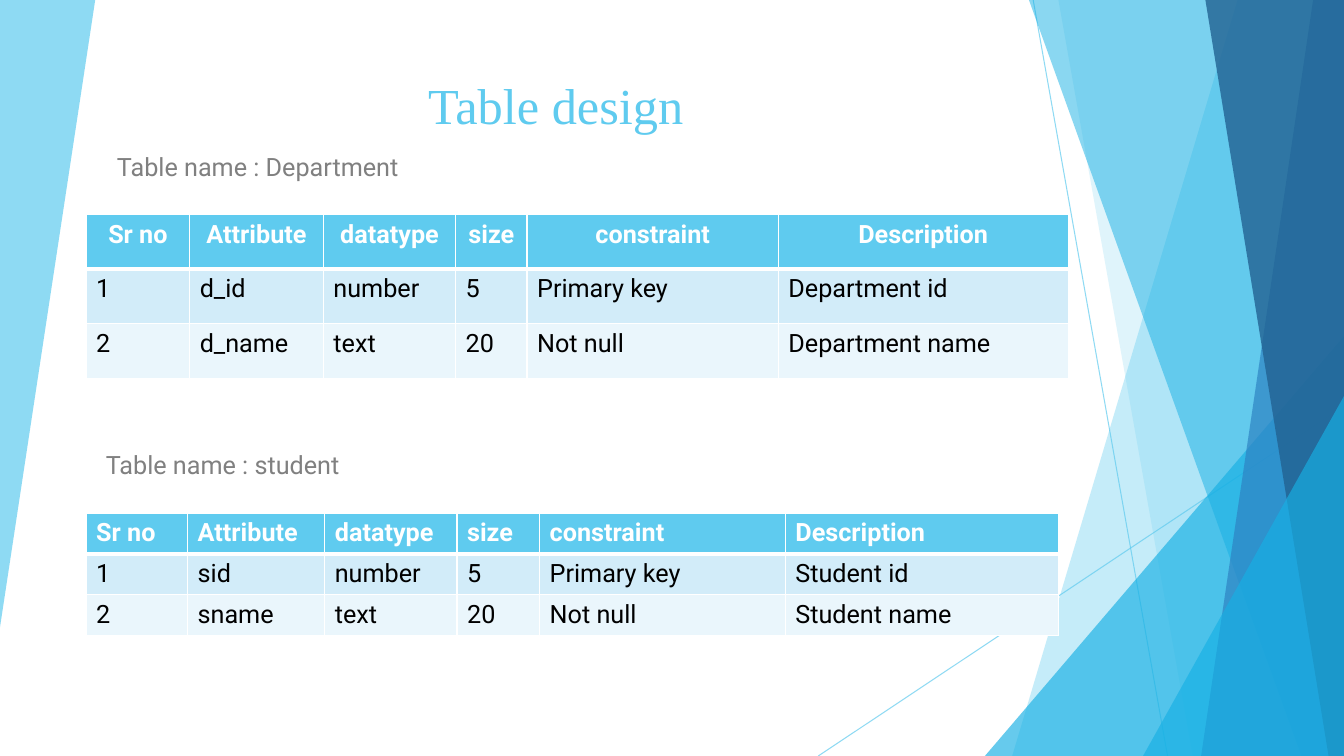
from lxml.etree import SubElement
from pptx import Presentation
from pptx.dml.color import RGBColor
from pptx.enum.shapes import MSO_CONNECTOR, MSO_SHAPE
from pptx.enum.text import MSO_ANCHOR, PP_ALIGN
from pptx.oxml.ns import qn
from pptx.util import Pt

COLORS = {
    "sky": "5FCBEF",
    "cyan": "17B0E4",
    "blue": "2E83C3",
    "navy": "226292",
    "gray": "808080",
    "black": "000000",
    "white": "FFFFFF",
    "band_dark": "D2ECF9",
    "band_light": "EAF6FC",
}
WIDTH, HEIGHT = 960, 540
HEADER = ["Sr no", "Attribute", "datatype", "size", "constraint", "Description"]


def rgb(name):
    return RGBColor.from_string(COLORS[name])


def set_opacity(shape, percent):
    for color in shape.element.spPr.iter(qn("a:srgbClr")):
        SubElement(color, qn("a:alpha"), val=str(percent * 1000))


class SlideBuilder:
    body_font = "Roboto"
    title_font = "Times New Roman"
    body_size = 18
    title_size = 36

    def __init__(self, page):
        self.page = page

    def paint(self, shape, color, opacity):
        shape.shadow.inherit = False
        shape.fill.solid()
        shape.fill.fore_color.rgb = rgb(color)
        shape.line.fill.background()
        set_opacity(shape, opacity)

    def panel(self, points, color, opacity):
        start, *rest = [(Pt(x), Pt(y)) for x, y in points]
        builder = self.page.shapes.build_freeform(*start)
        builder.add_line_segments(rest, close=True)
        self.paint(builder.convert_to_shape(), color, opacity)

    def corner_triangle(self, left, top, color, opacity):
        """Right triangle that fills the lower right corner of the slide."""
        shape = self.page.shapes.add_shape(
            MSO_SHAPE.ISOSCELES_TRIANGLE,
            Pt(left), Pt(top), Pt(WIDTH - left), Pt(HEIGHT - top))
        shape.adjustments[0] = 1.0
        self.paint(shape, color, opacity)

    def thin_line(self, x1, y1, x2, y2):
        line = self.page.shapes.add_connector(
            MSO_CONNECTOR.STRAIGHT, Pt(x1), Pt(y1), Pt(x2), Pt(y2))
        line.line.width = Pt(0.75)
        line.line.color.rgb = rgb("sky")
        set_opacity(line, 70)
        SubElement(line.element.spPr, qn("a:effectLst"))

    def style(self, para, color, bold=False, align=PP_ALIGN.LEFT, title=False):
        para.alignment = align
        para.font.name = self.title_font if title else self.body_font
        para.font.size = Pt(self.title_size if title else self.body_size)
        para.font.bold = bold
        para.font.color.rgb = rgb(color)

    def text(self, left, top, width, height, wording, color,
             anchor=MSO_ANCHOR.TOP, **style):
        box = self.page.shapes.add_textbox(Pt(left), Pt(top), Pt(width), Pt(height))
        frame = box.text_frame
        frame.word_wrap = True
        frame.vertical_anchor = anchor
        frame.text = wording
        self.style(frame.paragraphs[0], color, **style)

    def borders(self, cell, row):
        widths = {"L": 1, "R": 1, "T": 3 if row == 1 else 1, "B": 3 if row == 0 else 1}
        properties = cell._tc.get_or_add_tcPr()
        for side, width in widths.items():
            line = SubElement(properties, qn(f"a:ln{side}"), w=str(Pt(width)))
            fill = SubElement(line, qn("a:solidFill"))
            SubElement(fill, qn("a:srgbClr"), val=COLORS["white"])

    def table(self, left, top, widths, row_height, records, header_align):
        rows = [HEADER, *records]
        table = self.page.shapes.add_table(
            len(rows), len(widths), Pt(left), Pt(top),
            Pt(sum(widths)), Pt(row_height * len(rows))).table
        for column, width in zip(table.columns, widths):
            column.width = Pt(width)
        for r, values in enumerate(rows):
            table.rows[r].height = Pt(row_height)
            is_header = r == 0
            band = "sky" if is_header else ("band_light", "band_dark")[r % 2]
            for c, value in enumerate(values):
                cell = table.cell(r, c)
                self.borders(cell, r)
                cell.fill.solid()
                cell.fill.fore_color.rgb = rgb(band)
                cell.text = value
                self.style(cell.text_frame.paragraphs[0],
                           "white" if is_header else "black", bold=is_header,
                           align=header_align if is_header else PP_ALIGN.LEFT)


def main():
    deck = Presentation()
    deck.slide_width, deck.slide_height = Pt(WIDTH), Pt(HEIGHT)
    slide = SlideBuilder(deck.slides.add_slide(deck.slide_layouts[6]))

    def right_panel(top_x, bottom_x, color, opacity):
        """Panel from a slanted left edge to the right edge of the slide."""
        slide.panel([(top_x, 0), (WIDTH, 0), (WIDTH, HEIGHT), (bottom_x, HEIGHT)],
                    color, opacity)

    slide.panel([(0, 0), (68, 0), (0, 448)], "sky", 70)
    slide.thin_line(738, 0, 834, HEIGHT)
    slide.thin_line(WIDTH, 290, 584.5, HEIGHT)
    right_panel(884, 723, "sky", 36)
    right_panel(756, 852, "sky", 20)
    slide.corner_triangle(703.5, 240, "cyan", 66)
    right_panel(735, 929.5, "cyan", 50)
    right_panel(938, 858, "blue", 70)
    right_panel(861, 949, "navy", 80)
    slide.corner_triangle(816.5, 283, "cyan", 66)

    slide.text(91.5, 27.5, 611, 72, "Table design", "sky",
               anchor=MSO_ANCHOR.BOTTOM, align=PP_ALIGN.CENTER, title=True)
    slide.text(76.5, 104.5, 654, 30, "Table name : Department", "gray")
    slide.table(61.5, 153.5, [74, 95.5, 94.5, 51, 179.5, 207], 38.9, [
        ["1", "d_id", "number", "5", "Primary key", "Department id"],
        ["2", "d_name", "text", "20", "Not null", "Department name"],
    ], PP_ALIGN.CENTER)
    slide.text(68.5, 317.5, 694, 29, "Table name : student", "gray")
    slide.table(61.5, 366.5, [72.5, 98, 94.5, 59, 175.5, 195], 29.2, [
        ["1", "sid", "number", "5", "Primary key", "Student id"],
        ["2", "sname", "text", "20", "Not null", "Student name"],
    ], PP_ALIGN.LEFT)

    deck.save("out.pptx")


if __name__ == "__main__":
    main()
